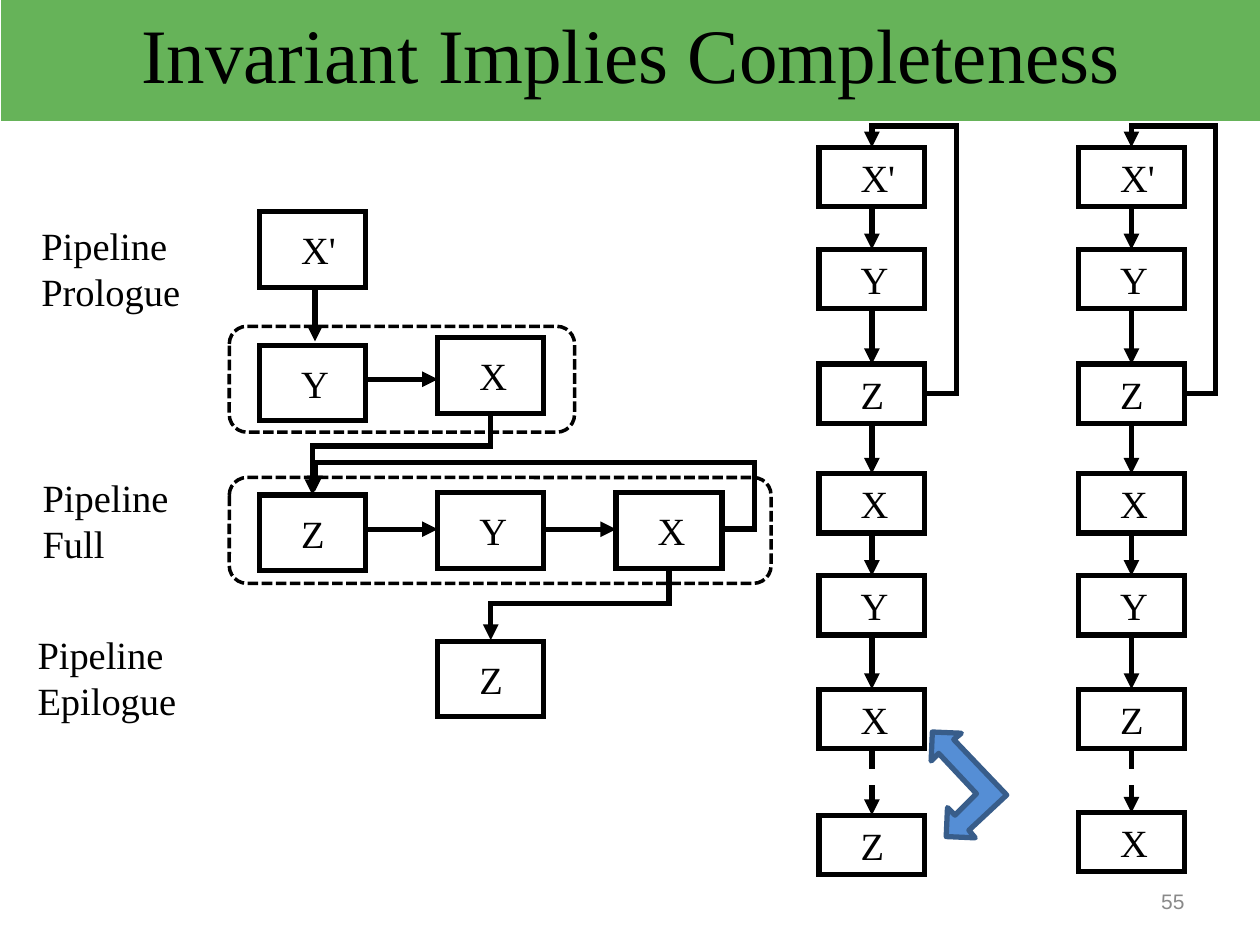
import pptx
import pptx.dml.color
import pptx.enum.dml
import pptx.enum.shapes
import pptx.enum.text
import pptx.util
from lxml import etree
from pptx.oxml.ns import qn
from pptx.util import Inches

COLORS = {"ink": "000000", "banner": "66B359", "arrow": "558ED5",
          "arrow_edge": "385D8A", "number": "898989"}
SERIF = "Times New Roman"
ALIGN = pptx.enum.text.PP_ALIGN
ANCHOR = pptx.enum.text.MSO_ANCHOR
DASH = pptx.enum.dml.MSO_LINE
SHAPE = pptx.enum.shapes.MSO_SHAPE
CONNECTOR = pptx.enum.shapes.MSO_CONNECTOR
NODE_WIDTH = 0.84


def rgb(name):
    return pptx.dml.color.RGBColor.from_string(COLORS[name])


def set_fill(shape, color):
    shape.fill.solid()
    shape.fill.fore_color.rgb = rgb(color)


def write_text(shape, lines, size=22, font=SERIF, color="ink", align=ALIGN.LEFT,
               **frame_format):
    frame = shape.text_frame
    frame_values = {"word_wrap": True, "auto_size": pptx.enum.text.MSO_AUTO_SIZE.NONE,
                    "vertical_anchor": ANCHOR.TOP, "margin_left": Inches(0.1),
                    "margin_right": Inches(0.1), "margin_top": Inches(0.05),
                    "margin_bottom": Inches(0.05)}
    for name, value in (frame_values | frame_format).items():
        setattr(frame, name, value)
    frame.text = "\n".join(lines)
    for paragraph in frame.paragraphs:
        paragraph.alignment = align
        for name, value in {"size": pptx.util.Pt(size), "name": font}.items():
            setattr(paragraph.font, name, value)
        paragraph.font.color.rgb = rgb(color)


def style_line(shape, width=3, dash=None, color="ink", miter=True, arrow=False):
    shape.line.color.rgb = rgb(color)
    shape.line.width = pptx.util.Pt(width)
    if dash:
        shape.line.dash_style = dash
    line = shape._element.spPr.find(qn("a:ln"))
    if miter:
        etree.SubElement(line, qn("a:miter"), lim="800000")
    if arrow:
        etree.SubElement(line, qn("a:tailEnd"), type="triangle")


def add_node(slide, label, left, top, height):
    node = slide.shapes.add_shape(SHAPE.RECTANGLE, Inches(left), Inches(top),
                                  Inches(NODE_WIDTH), Inches(height))
    node.shadow.inherit = False
    node.fill.background()
    style_line(node)
    write_text(node, [label], vertical_anchor=ANCHOR.MIDDLE, margin_left=Inches(0.33))


def add_arrow(slide, start, end, dash=None, kind=CONNECTOR.STRAIGHT):
    arrow = slide.shapes.add_connector(kind, *map(Inches, start + end))
    style_line(arrow, dash=dash, arrow=True)
    etree.SubElement(arrow._element.spPr, qn("a:effectLst"))
    return arrow


def set_bends(arrow, preset, bends):
    geometry = arrow._element.spPr.find(qn("a:prstGeom"))
    geometry.set("prst", preset)
    guides = geometry.find(qn("a:avLst"))
    if guides is None:
        guides = etree.SubElement(geometry, qn("a:avLst"))
    for number, bend in enumerate(bends, 1):
        etree.SubElement(guides, qn("a:gd"), name=f"adj{number}",
                         fmla=f"val {round(bend * 100000)}")


def add_loop(slide, start, end, corner):
    """Go right to the corner, up over the top, then back left and down."""
    arrow = add_arrow(slide, start, end, kind=CONNECTOR.ELBOW)
    set_bends(arrow, "bentConnector4",
              [(c - s) / (e - s) for s, e, c in zip(start, end, corner)])


def add_step_down(slide, start, end, turn):
    """Go down to the height of turn, left, then down to the end."""
    drop, run = end[1] - start[1], start[0] - end[0]
    left = (start[0] + end[0] - drop) / 2
    top = (start[1] + end[1] - run) / 2
    arrow = add_arrow(slide, (left, top), (left + drop, top + run), kind=CONNECTOR.ELBOW)
    arrow.rotation = 90
    set_bends(arrow, "bentConnector3", [(turn - start[1]) / drop])


def add_banner(slide, title, left, top, width, height):
    banner = slide.shapes.title
    for name, value in {"left": left, "top": top, "width": width, "height": height}.items():
        setattr(banner, name, Inches(value))
    set_fill(banner, "banner")
    write_text(banner, [title], size=44, align=ALIGN.CENTER)


def add_schedule(slide, labels, left, top, last_offset):
    """Chain nodes downwards, with a loop over the first three and a dashed last step."""
    height = 0.47
    center = left + NODE_WIDTH / 2
    tops = [top + offset for offset in (0, 0.81, 1.72, 2.59, 3.4, 4.3, last_offset)]
    for label, node_top in zip(labels, tops):
        add_node(slide, label, left, node_top, height)
    for upper, lower in zip(tops, tops[1:]):
        add_arrow(slide, (center, upper + height), (center, lower),
                  dash=DASH.DASH if lower == tops[-1] else None)
    right = left + NODE_WIDTH
    add_loop(slide, (right, tops[2] + height / 2), (center, top),
             (right + 0.25, top - 0.17))


def add_pipeline(slide, left, top):
    height = 0.6
    columns = [left + 0.24 + 1.415 * column for column in range(3)]
    centers = [column + NODE_WIDTH / 2 for column in columns]
    for frame_top, width in ((0.91, 2.74), (2.11, 4.3)):
        frame = slide.shapes.add_shape(SHAPE.ROUNDED_RECTANGLE, Inches(left),
                                       Inches(top + frame_top), Inches(width), Inches(0.84))
        frame.shadow.inherit = False
        frame.fill.background()
        style_line(frame, width=2, dash=DASH.SQUARE_DOT, miter=False)

    for label, column, offset in (("X'", 0, 0), ("Y", 0, 1.06), ("X", 1, 1),
                                  ("Z", 0, 2.25), ("Y", 1, 2.23), ("X", 2, 2.23),
                                  ("Z", 1, 3.41)):
        add_node(slide, label, columns[column], top + offset, height)

    add_arrow(slide, (centers[0] + 0.02, top + 0.61), (centers[0] + 0.02, top + 1.03))
    for column, offset in ((0, 1.33), (0, 2.52), (1, 2.52)):
        add_arrow(slide, (columns[column] + NODE_WIDTH, top + offset),
                  (columns[column + 1], top + offset))
    add_step_down(slide, (centers[1], top + 1.6), (centers[0], top + 2.25), top + 1.86)
    add_step_down(slide, (centers[2], top + 2.82), (centers[1], top + 3.4), top + 3.11)
    right = columns[2] + NODE_WIDTH
    add_loop(slide, (right, top + 2.52), (centers[0] + 0.02, top + 2.22),
             (right + 0.26, top + 1.99))


def add_text(slide, lines, left, top, width, height, **text_format):
    box = slide.shapes.add_textbox(*map(Inches, (left, top, width, height)))
    write_text(box, lines, **text_format)


def add_swap_arrow(slide, left, top):
    """Draw a bent double-headed block arrow."""
    points = [(0.13, 0.83), (0.14, 0.6), (0.2, 0.66), (0.37, 0.49), (0.07, 0.17),
              (0.01, 0.23), (0.02, 0), (0.25, 0.01), (0.19, 0.06), (0.61, 0.5),
              (0.31, 0.78), (0.36, 0.84)]
    corners = [(Inches(left + x), Inches(top + y)) for x, y in points]
    builder = slide.shapes.build_freeform(*corners[0])
    builder.add_line_segments(corners[1:], close=True)
    arrow = builder.convert_to_shape()
    arrow.shadow.inherit = False
    set_fill(arrow, "arrow")
    style_line(arrow, color="arrow_edge", miter=False)


def main():
    presentation = pptx.Presentation()
    presentation.slide_width, presentation.slide_height = Inches(10), Inches(7.5)
    slide = presentation.slides.add_slide(presentation.slide_layouts[5])
    add_banner(slide, "Invariant Implies Completeness", 0.01, 0, 10, 0.96)
    add_schedule(slide, ["X'", "Y", "Z", "X", "Y", "X", "Z"], 6.5, 1.17, 5.3)
    add_schedule(slide, ["X'", "Y", "Z", "X", "Y", "Z", "X"], 8.56, 1.17, 5.28)
    add_swap_arrow(slide, 7.38, 5.81)
    add_pipeline(slide, 1.82, 1.68)
    for phase, left, top, width in (("Prologue", 0.23, 1.71, 1.44),
                                    ("Full", 0.24, 3.71, 1.27),
                                    ("Epilogue", 0.2, 4.96, 1.44)):
        add_text(slide, ["Pipeline", phase], left, top, width, 0.84)
    add_text(slide, ["55"], 7.17, 6.95, 2.33, 0.4, size=12, font="Arial",
             color="number", align=ALIGN.RIGHT, vertical_anchor=ANCHOR.MIDDLE)
    presentation.save("out.pptx")


if __name__ == "__main__":
    main()
